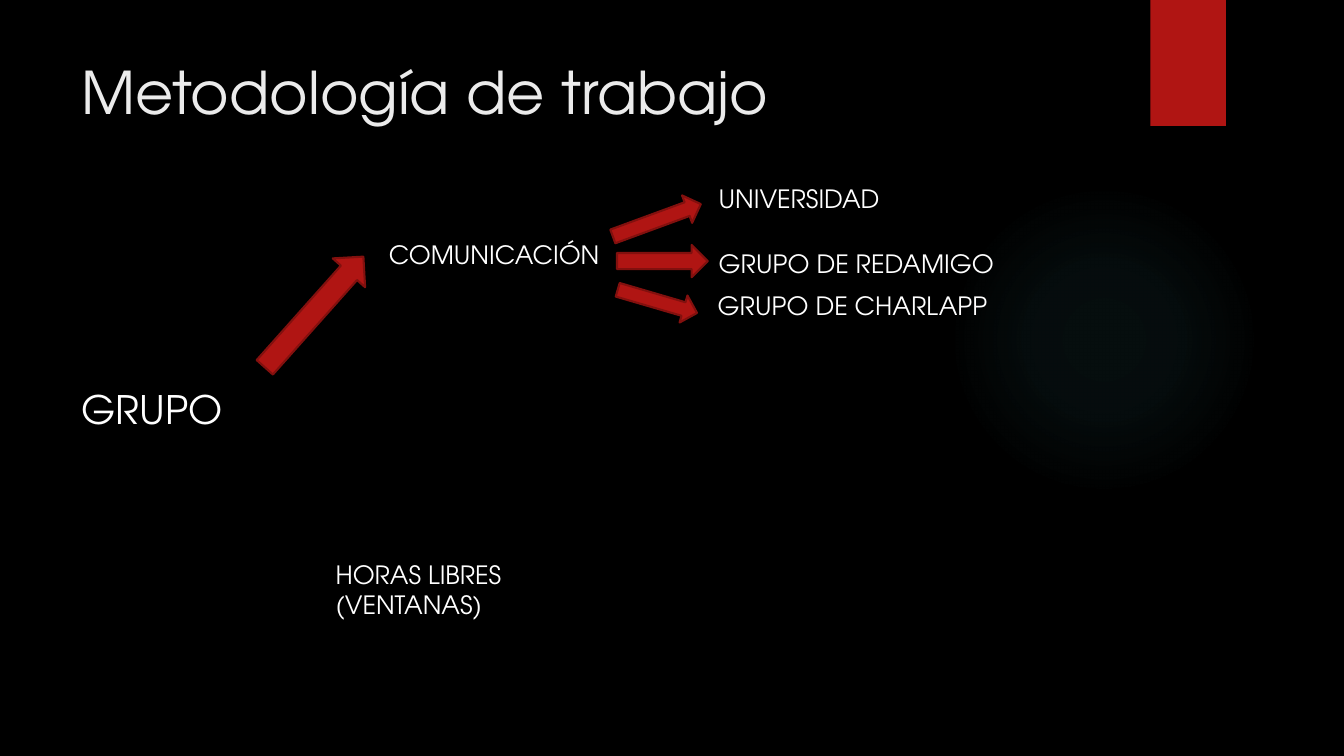
from lxml import etree
from pptx import Presentation
from pptx.dml.color import RGBColor
from pptx.enum.shapes import MSO_SHAPE
from pptx.enum.text import MSO_ANCHOR, PP_ALIGN
from pptx.oxml import parse_xml
from pptx.oxml.ns import nsdecls, qn
from pptx.util import Inches, Pt

OVAL, RECT = MSO_SHAPE.OVAL, MSO_SHAPE.RECTANGLE
RIGHT, DOWN = MSO_SHAPE.RIGHT_ARROW, MSO_SHAPE.DOWN_ARROW
TOP, LEFT = MSO_ANCHOR.TOP, PP_ALIGN.LEFT

THEME = {
    "font": "TeX Gyre Adventor",
    "background": "000000", "title": "EBEBEB", "text": "FFFFFF",
    "red": "B01513", "outline": "82100E", "glow": "50B9C1",
    "title_size": 42, "group_size": 28, "label_size": 18, "outline_width": 1.5,
}

TITLE = ("Metodología de trabajo", (0.71, 0.5, 10.29, 1.53))
GROUP = ("GRUPO", (0.71, 3.77, 2.52, 0.57))
LABELS = [
    ("HORAS LIBRES (VENTANAS)", (3.23, 5.5, 2.38, 0.71)),
    ("COMUNICACIÓN", (3.76, 2.33, 3.23, 0.4)),
    ("UNIVERSIDAD", (7.03, 1.77, 2.04, 0.4)),
    ("GRUPO DE REDAMIGO", (7.03, 2.41, 3.01, 0.4)),
    ("GRUPO DE CHARLAPP", (7.02, 2.83, 3.01, 0.4)),
]
ARROWS = [  # preset, box, rotation
    (DOWN, (2.9, 2.36, 0.43, 1.47), 221.7),
    (RIGHT, (6.05, 2.04, 0.93, 0.29), 339.8),
    (RIGHT, (6.12, 2.43, 0.9, 0.32), 0),
    (RIGHT, (6.11, 2.85, 0.82, 0.28), 16.3),
]
TAB = (11.41, 0, 0.75, 1.25)
GLOW = (9.41, 1.83, 3.08, 3.08)
GLOW_STOPS = [(0, 7), (36, 6), (69, 0)]  # position %, opacity %


def color(name):
    return RGBColor.from_string(THEME[name])


def inches(box):
    return [Inches(v) for v in box]


def write(shape, text, size, ink):
    tf = shape.text_frame
    tf.word_wrap, tf.vertical_anchor = True, TOP
    p = tf.paragraphs[0]
    p.alignment = LEFT
    r = p.add_run()
    r.text = text
    for key, value in {"name": THEME["font"], "size": Pt(THEME[size])}.items():
        setattr(r.font, key, value)
    r.font.color.rgb = color(ink)


def add_label(s, text, box, size):
    write(s.shapes.add_textbox(*inches(box)), text, size, "text")


def add_figure(s, preset, box, outlined=False, rotation=0):
    shape = s.shapes.add_shape(preset, *inches(box))
    shape.shadow.inherit = False
    shape.rotation = rotation
    shape.fill.solid()
    shape.fill.fore_color.rgb = color("red")
    if outlined:
        shape.line.color.rgb = color("outline")
        shape.line.width = Pt(THEME["outline_width"])
    else:
        shape.line.fill.background()
    return shape


def make_glow(shape):
    """Swap the solid fill for a radial gradient that fades out."""
    grad = parse_xml(f'<a:gradFill {nsdecls("a")} rotWithShape="1"/>')
    stops = etree.SubElement(grad, qn("a:gsLst"))
    for position, opacity in GLOW_STOPS:
        stop = etree.SubElement(stops, qn("a:gs"), pos=str(position * 1000))
        ink = etree.SubElement(stop, qn("a:srgbClr"), val=THEME["glow"])
        etree.SubElement(ink, qn("a:alpha"), val=str(opacity * 1000))
    radial = etree.SubElement(grad, qn("a:path"))
    radial.set("path", "circle")
    etree.SubElement(radial, qn("a:fillToRect"), {side: "50000" for side in "ltrb"})
    solid = shape.element.spPr.find(qn("a:solidFill"))
    solid.getparent().replace(solid, grad)


def main():
    prs = Presentation()
    prs.slide_width, prs.slide_height = Inches(13.33), Inches(7.5)
    s = prs.slides.add_slide(prs.slide_layouts[5])
    s.background.fill.solid()
    s.background.fill.fore_color.rgb = color("background")

    make_glow(add_figure(s, OVAL, GLOW))
    add_figure(s, RECT, TAB)

    title, box = TITLE
    sp = s.shapes.title
    sp.left, sp.top, sp.width, sp.height = inches(box)
    write(sp, title, "title_size", "title")

    add_label(s, *GROUP, "group_size")
    for text, box in LABELS:
        add_label(s, text, box, "label_size")
    for preset, box, rotation in ARROWS:
        add_figure(s, preset, box, outlined=True, rotation=rotation)

    prs.save("out.pptx")


if __name__ == "__main__":
    main()
